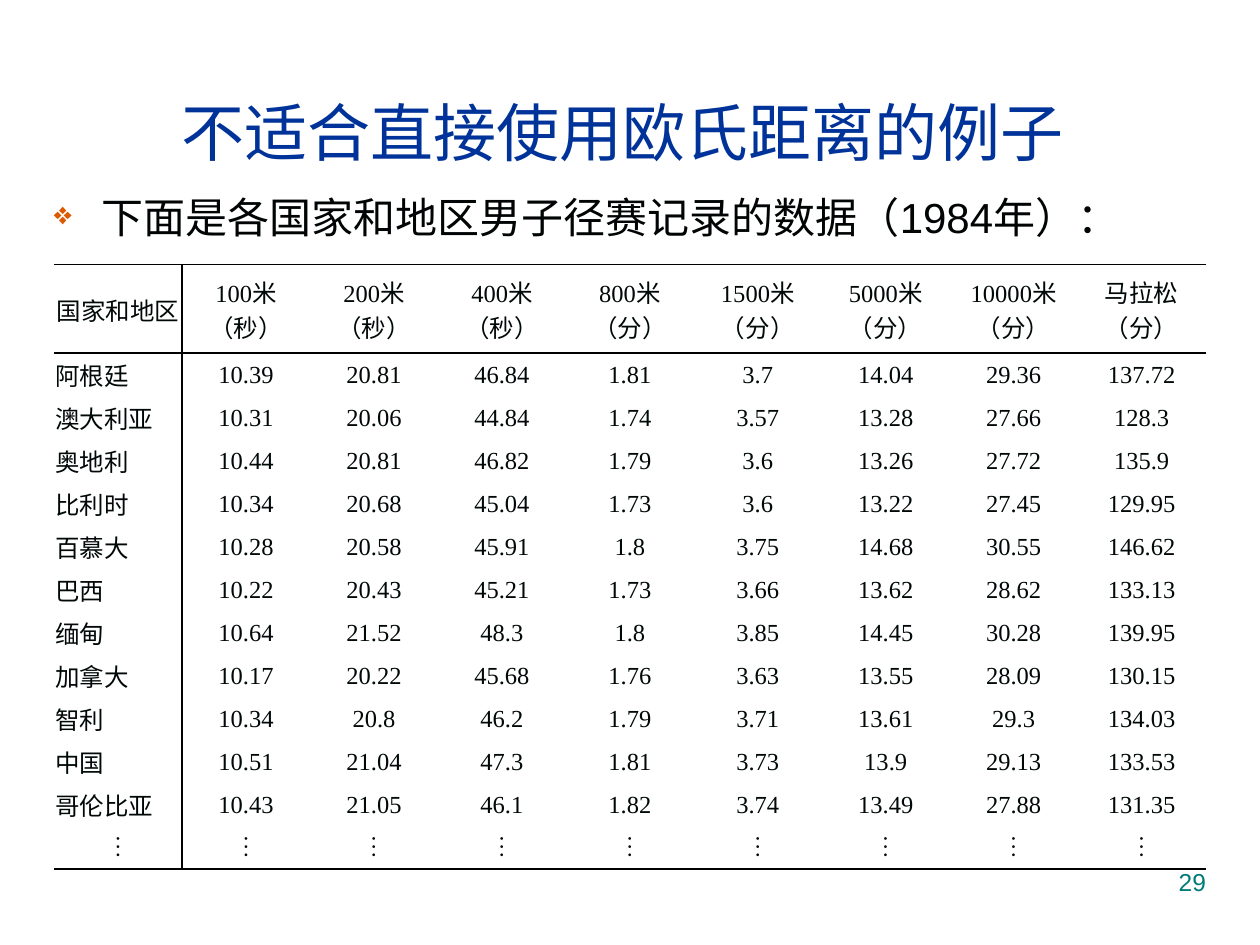
from lxml import etree
from pptx import Presentation
from pptx.dml.color import RGBColor
from pptx.enum.text import MSO_ANCHOR, PP_ALIGN
from pptx.oxml.ns import qn
from pptx.util import Inches, Pt

LEFT, CENTER, RIGHT, JUSTIFY = PP_ALIGN.LEFT, PP_ALIGN.CENTER, PP_ALIGN.RIGHT, PP_ALIGN.JUSTIFY
TOP, MIDDLE = MSO_ANCHOR.TOP, MSO_ANCHOR.MIDDLE

THEME = {
    "title": {"name": "Arial", "size": Pt(36), "color": "003399"},
    "body": {"name": "Arial", "size": Pt(24), "color": "000404"},
    "cell": {"name": "Times New Roman", "size": Pt(14), "color": "000808"},
    "dots": {"name": "Cambria", "size": Pt(14), "color": "000808"},
    "number": {"name": "Arial", "size": Pt(14), "color": "007A77"},
    "bullet": "DC5900",
    "rule": "000000",
    "rule_width": Pt(1),
}

EVENTS = [
    ("100米", "秒"), ("200米", "秒"), ("400米", "秒"), ("800米", "分"),
    ("1500米", "分"), ("5000米", "分"), ("10000米", "分"), ("马拉松", "分"),
]
RECORDS = """阿根廷 10.39 20.81 46.84 1.81 3.7 14.04 29.36 137.72
澳大利亚 10.31 20.06 44.84 1.74 3.57 13.28 27.66 128.3
奥地利 10.44 20.81 46.82 1.79 3.6 13.26 27.72 135.9
比利时 10.34 20.68 45.04 1.73 3.6 13.22 27.45 129.95
百慕大 10.28 20.58 45.91 1.8 3.75 14.68 30.55 146.62
巴西 10.22 20.43 45.21 1.73 3.66 13.62 28.62 133.13
缅甸 10.64 21.52 48.3 1.8 3.85 14.45 30.28 139.95
加拿大 10.17 20.22 45.68 1.76 3.63 13.55 28.09 130.15
智利 10.34 20.8 46.2 1.79 3.71 13.61 29.3 134.03
中国 10.51 21.04 47.3 1.81 3.73 13.9 29.13 133.53
哥伦比亚 10.43 21.05 46.1 1.82 3.74 13.49 27.88 131.35"""

header = ["国家和地区"] + [f"{event}\n（{unit}）" for event, unit in EVENTS]
rows = [header] + [line.split() for line in RECORDS.splitlines()] + [["⋮"] * len(header)]
last_row = len(rows) - 1

deck = Presentation()
deck.slide_width, deck.slide_height = Inches(10), Inches(7.5)
WIDTH, HEIGHT = deck.slide_width, deck.slide_height
page = deck.slides.add_slide(deck.slide_layouts[6])


def write(frame, text, style, align):
    for index, line in enumerate(text.split("\n")):
        para = frame.add_paragraph() if index else frame.paragraphs[0]
        para.alignment = align
        span = para.add_run()
        span.text = line
        for key in ("name", "size"):
            setattr(span.font, key, THEME[style][key])
        span.font.color.rgb = RGBColor.from_string(THEME[style]["color"])


def add_node(parent, tag, **values):
    return etree.SubElement(parent, qn(tag), {key: str(value) for key, value in values.items()})


TEXTS = [
    ("title", "不适合直接使用欧氏距离的例子", (0.027, 0.091, 0.934, 0.095), CENTER, MIDDLE),
    ("body", "下面是各国家和地区男子径赛记录的数据（1984年）：", (0.033, 0.196, 0.934, 0.693), LEFT, TOP),
    ("number", "29", (0.717, 0.911, 0.25, 0.069), RIGHT, TOP),
]
boxes = {}
for style, text, (left, top, width, height), align, anchor in TEXTS:
    box = page.shapes.add_textbox(
        int(left * WIDTH), int(top * HEIGHT), int(width * WIDTH), int(height * HEIGHT))
    box.text_frame.word_wrap = True
    box.text_frame.vertical_anchor = anchor
    write(box.text_frame, text, style, align)
    boxes[style] = box

bullet = boxes["body"].text_frame.paragraphs[0]._p.get_or_add_pPr()
bullet.set("marL", str(Inches(0.38)))
bullet.set("indent", str(-Inches(0.38)))
add_node(add_node(bullet, "a:spcBef"), "a:spcPct", val=20000)
add_node(add_node(bullet, "a:buClr"), "a:srgbClr", val=THEME["bullet"])
add_node(bullet, "a:buSzPct", val=75000)
add_node(bullet, "a:buChar", char="❖")

table_width, table_height = int(0.914 * WIDTH), int(0.64 * HEIGHT)
header_height = Inches(0.7)
table = page.shapes.add_table(
    len(rows), len(header), int(0.043 * WIDTH), int(0.28 * HEIGHT), table_width, table_height).table
table.first_row = table.horz_banding = False
for column in table.columns:
    column.width = table_width // len(header)
for index, row in enumerate(table.rows):
    row.height = (table_height - header_height) // last_row if index else header_height

CELL_FORMAT = {
    "vertical_anchor": MIDDLE,
    "margin_left": Inches(0.01),
    "margin_top": Inches(0.01),
    "margin_right": Inches(0.01),
    "margin_bottom": 0,
}
for row_index, row in enumerate(rows):
    for column_index, text in enumerate(row):
        cell = table.cell(row_index, column_index)
        for key, value in CELL_FORMAT.items():
            setattr(cell, key, value)
        is_country = column_index == 0 and 0 < row_index < last_row
        write(cell.text_frame, text, "dots" if row_index == last_row else "cell",
              JUSTIFY if is_country else CENTER)
        borders = {
            "a:lnL": column_index == 1,
            "a:lnR": column_index == 0,
            "a:lnT": row_index in (0, 1),
            "a:lnB": row_index in (0, last_row),
        }
        for tag, ruled in borders.items():
            line = add_node(cell._tc.get_or_add_tcPr(), tag, w=THEME["rule_width"])
            if ruled:
                add_node(add_node(line, "a:solidFill"), "a:srgbClr", val=THEME["rule"])
            else:
                add_node(line, "a:noFill")
        cell.fill.background()

deck.save("out.pptx")
